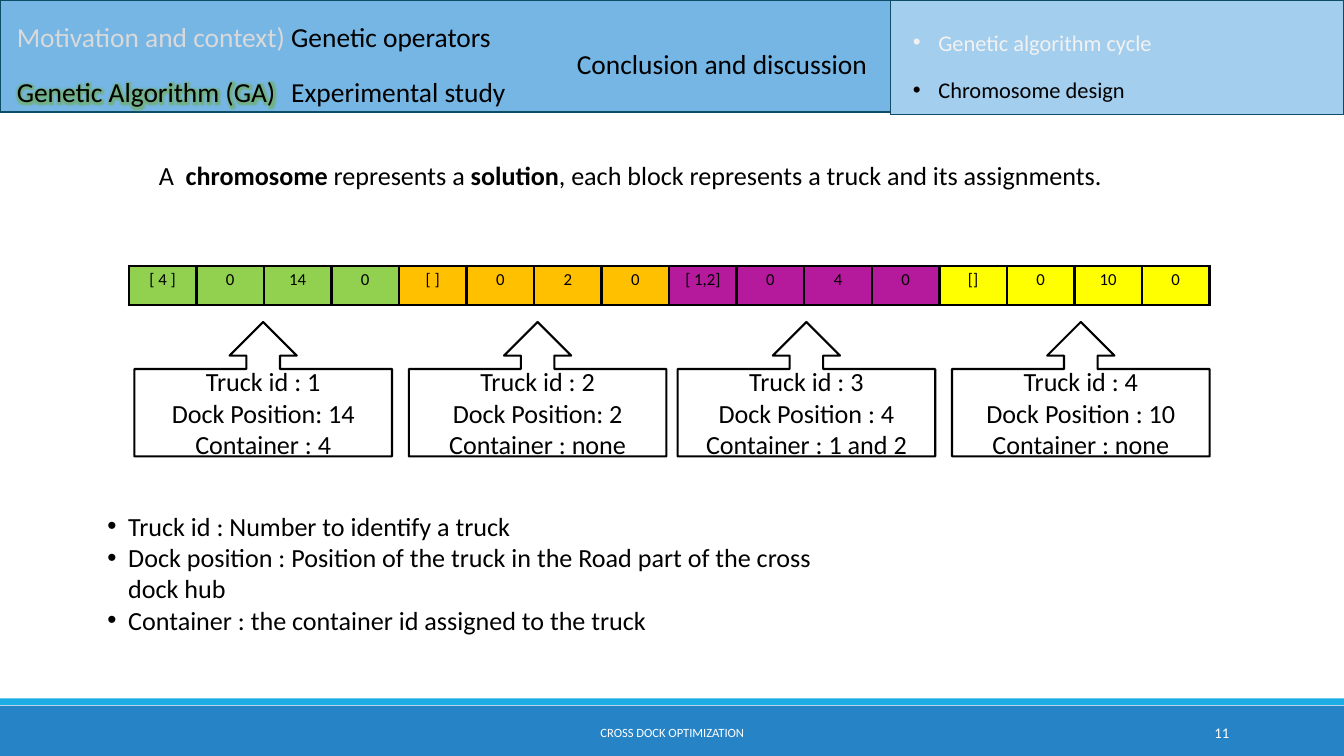
from dataclasses import dataclass
from lxml.etree import SubElement
from pptx import Presentation
from pptx.dml.color import RGBColor
from pptx.enum.shapes import MSO_SHAPE
from pptx.enum.text import MSO_ANCHOR, PP_ALIGN
from pptx.oxml import parse_xml
from pptx.oxml.ns import qn, nsdecls
from pptx.util import Inches, Pt

COLS, ROWS = 240, 135
LEFT, MID, RIGHT, FULL = PP_ALIGN.LEFT, PP_ALIGN.CENTER, PP_ALIGN.RIGHT, PP_ALIGN.JUSTIFY

# fill, load, dock, dock label, container label, callout column
TRUCKS = [
    ("92D050", "[ 4 ]", "14", "Dock Position: 14", "4", 24),
    ("FFC000", "[ ]", "2", "Dock Position: 2", "none", 73),
    ("B61A9C", "[ 1,2]", "4", "Dock Position : 4", "1 and 2", 121),
    ("FFFF00", "[]", "10", "Dock Position : 10", "none", 170),
]
MENU = [
    (52, 2.5, "Genetic operators", "000000"),
    (52, 12.5, "Experimental study", "000000"),
    (103, 7.5, "Conclusion and discussion", "000000"),
    (3, 2.5, "Motivation and context)", "D9D9D9"),
]
TOPICS = [(3.1, "Genetic algorithm cycle", "F2F2F2"),
          (11.5, "Chromosome design", "000000")]
NOTES = [
    "Truck id : Number to identify a truck",
    "Dock position : Position of the truck in the Road part of the cross dock hub",
    "Container : the container id assigned to the truck",
]


def tint(code):
    return RGBColor.from_string(code)


@dataclass
class Deck:
    """Style and current slide; lengths are in grid columns and rows."""
    show: object
    slide: object
    font: str = "Calibri"
    ink: str = "000000"
    size: float = 28

    def area(self, x, y, w, h):
        wide, high = self.show.slide_width / COLS, self.show.slide_height / ROWS
        return round(x * wide), round(y * high), round(w * wide), round(h * high)

    def run(self, para, text, size=None, color=None, bold=False):
        run = para.add_run()
        run.text = text
        run.font.name = self.font
        run.font.size = Pt(size or self.size)
        run.font.bold = bold
        run.font.color.rgb = tint(color or self.ink)
        return run

    def glow(self, run, color):
        """Put a soft halo behind the letters of a run."""
        halo = parse_xml(
            f'<a:effectLst {nsdecls("a")}><a:glow rad="139700"><a:srgbClr val="{color}">'
            '<a:alpha val="60000"/></a:srgbClr></a:glow></a:effectLst>')
        run.font._element.find(qn("a:solidFill")).addnext(halo)

    def indent(self, para, left, bullet=False):
        props = para._p.get_or_add_pPr()
        props.set("marL", str(Inches(left)))
        props.set("indent", str(Inches(-left if bullet else 0)))
        if bullet:
            SubElement(props, qn("a:buFont"), typeface="Arial")
            SubElement(props, qn("a:buChar"), char="•")

    def rect(self, x, y, w, h, fill, line=None, width=1.25, kind=MSO_SHAPE.RECTANGLE):
        shape = self.slide.shapes.add_shape(kind, *self.area(x, y, w, h))
        shape.shadow.inherit = False
        shape.fill.solid()
        shape.fill.fore_color.rgb = tint(fill)
        if line:
            shape.line.color.rgb = tint(line)
            shape.line.width = Pt(width)
        else:
            shape.line.fill.background()
        return shape

    def lines(self, frame, texts, align=LEFT, bullet=0, **look):
        """Fill a frame with one paragraph per text; bullet is its hanging indent."""
        for i, text in enumerate(texts):
            para = frame.paragraphs[0] if i == 0 else frame.add_paragraph()
            if bullet:
                self.indent(para, bullet, True)
            para.alignment = align
            self.run(para, text, **look)

    def box(self, x, y, w, h, flush=False, anchor=MSO_ANCHOR.TOP):
        frame = self.slide.shapes.add_textbox(*self.area(x, y, w, h)).text_frame
        frame.word_wrap = True
        frame.vertical_anchor = anchor
        if flush:
            frame.margin_left = frame.margin_right = 0
            frame.margin_top = frame.margin_bottom = 0
        return frame

    def label(self, x, y, w, text, color, size=29.4, lead=41.1, bullet=0):
        frame = self.box(x, y, w, 6.5, flush=True)
        self.lines(frame, [text], bullet=bullet, size=size, color=color)
        para = frame.paragraphs[0]
        para.line_spacing = Pt(lead)
        return para.runs[0]

    def edge(self, cell, width):
        props = cell._tc.get_or_add_tcPr()
        for spot, side in enumerate(("lnL", "lnR", "lnT", "lnB")):
            props.insert(spot, parse_xml(
                f'<a:{side} {nsdecls("a")} w="{Pt(width)}"><a:solidFill>'
                f'<a:srgbClr val="{self.ink}"/></a:solidFill></a:{side}>'))

    def strip(self, x, y, w, h, genes):
        """Draw a one-row table of (text, fill) pairs."""
        spot = self.area(x, y, w, h)
        table = self.slide.shapes.add_table(1, len(genes), *spot).table
        table.first_row = table.horz_banding = False
        for i, (text, fill) in enumerate(genes):
            table.columns[i].width = spot[2] // len(genes)
            cell = table.cell(0, i)
            cell.fill.solid()
            cell.fill.fore_color.rgb = tint(fill)
            self.lines(cell.text_frame, [text], MID, size=18)
            self.edge(cell, 3)

    def callout(self, x, y, w, h, texts):
        shape = self.rect(x, y, w, h, "FFFFFF", self.ink, 2.25,
                          MSO_SHAPE.UP_ARROW_CALLOUT)
        frame = shape.text_frame
        frame.word_wrap = True
        frame.vertical_anchor = MSO_ANCHOR.MIDDLE
        self.lines(frame, texts, MID)


def main():
    show = Presentation()
    show.slide_width, show.slide_height = Inches(20), Inches(11.25)
    deck = Deck(show, show.slides.add_slide(show.slide_layouts[6]))

    # Footer
    deck.rect(0, 126, COLS, 9, "2683C6")
    deck.rect(0, 124.7, COLS, 1.2, "1CADE4")
    for x, w, text, align, size in [(72.6, 94.9, "CROSS DOCK OPTIMIZATION", MID, 13.5),
                                    (194.9, 25.8, "11", RIGHT, 15.8)]:
        frame = deck.box(x, 127.2, w, 7.2, anchor=MSO_ANCHOR.MIDDLE)
        deck.lines(frame, [text], align, size=size, color="FFFFFF")

    # Header
    deck.rect(159, 0, 81, 20.5, "A3CEED", "0C4C64")
    deck.rect(0, 0, 159, 20, "75B6E5", "0C4C64")
    for x, y, text, color in MENU:
        deck.label(x, y, 56, text, color, lead=42 if y == 2.5 else 41.1)
    deck.glow(deck.label(3, 12.5, 48, "Genetic Algorithm (GA)", "000000"), "70AD47")
    for y, text, color in TOPICS:
        deck.label(163, y, 56, text, color, size=24, bullet=0.38)

    # Lead sentence
    para = deck.box(25, 28.5, 195, 5.5, flush=True).paragraphs[0]
    deck.indent(para, 0.28)
    para.alignment, para.line_spacing = FULL, Pt(33.6)
    for text, bold in [("A  ", False), ("chromosome", True), (" represents a ", False),
                       ("solution", True),
                       (", each block represents a truck and its assignments.", False)]:
        deck.run(para, text, bold=bold)

    # Chromosome and its trucks
    genes = [(text, fill) for fill, load, dock, *_ in TRUCKS
             for text in (load, "0", dock, "0")]
    deck.strip(23, 47.5, 193, 7, genes)
    for i, (_, _, _, dock, load, x) in enumerate(TRUCKS, 1):
        deck.callout(x, 57.5, 46, 24, [f"Truck id : {i}", dock, f"Container : {load}"])

    deck.lines(deck.box(18, 90.5, 134, 24), NOTES, bullet=0.31)
    show.save("out.pptx")


if __name__ == "__main__":
    main()
